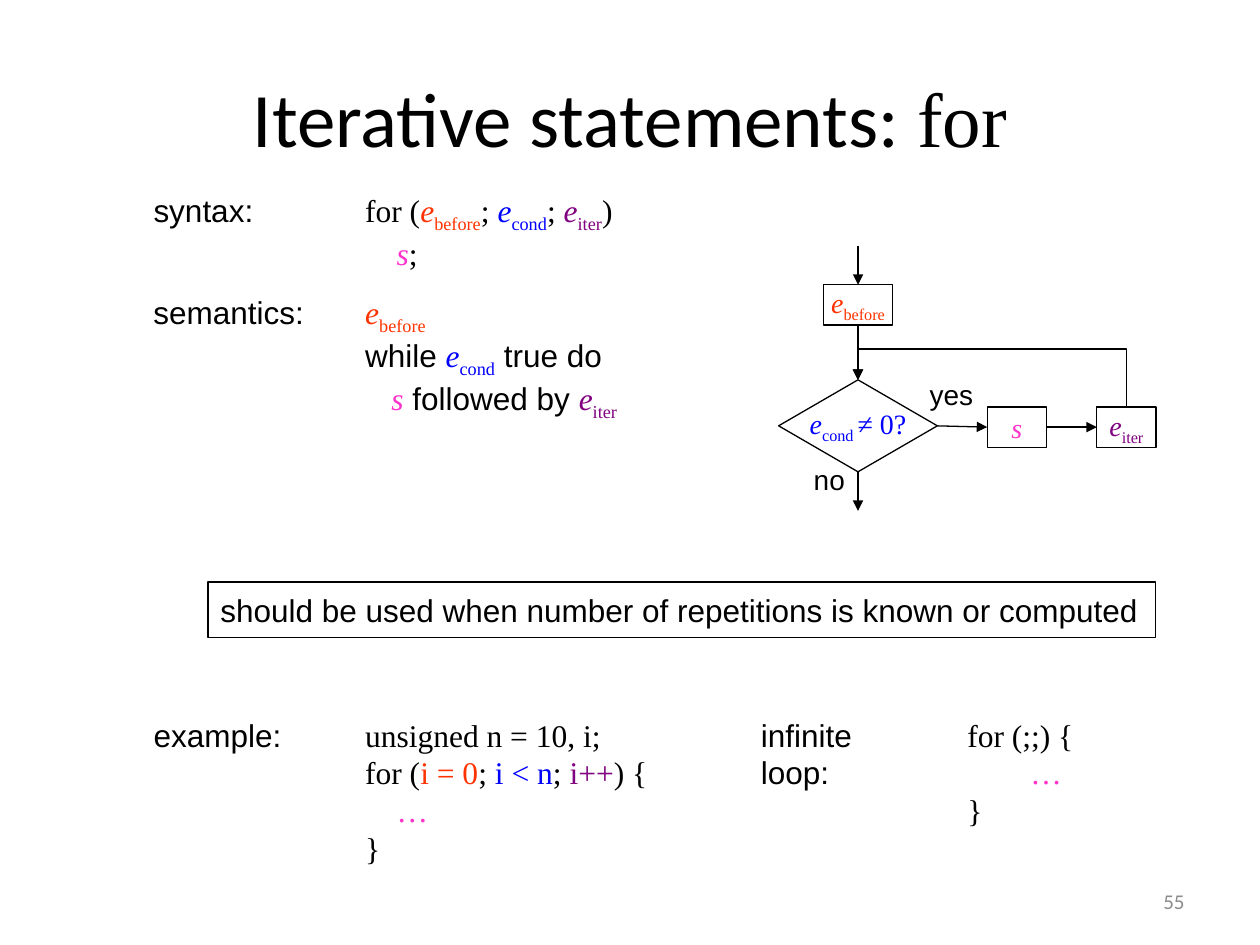
import pptx
import pptx.util
import pptx.dml.color
import pptx.enum.shapes
import pptx.enum.text
import pptx.oxml
import pptx.oxml.ns

Inches, Pt = pptx.util.Inches, pptx.util.Pt
ALIGN = pptx.enum.text.PP_ALIGN
ANCHOR = pptx.enum.text.MSO_ANCHOR
AUTO = pptx.enum.text.MSO_AUTO_SIZE
SHAPE = pptx.enum.shapes.MSO_SHAPE
LINK = pptx.enum.shapes.MSO_CONNECTOR

THEME = {
    "ink": "000000", "paper": "FFFFFF", "muted": "8C8C8C",
    "before": "FF3300", "cond": "0000FF", "iter": "800080", "body": "FF33CC",
    "sans": "Arial", "serif": "Times New Roman", "head": "Calibri",
    "title": 44, "text": 18, "node": 16, "number": 12,
}


# Runs: (text, colour, font, style), style being "", "i" or "sub"
def code(text, color="ink", style=""):
    return (text, color, "serif", style)


def say(text):
    return (text, "ink", "sans", "")


def expr(name):
    return [code("e", name, "i"), code(name, name, "sub")]


STMT = code("s", "body", "i")
DOTS = code("…", "body")

# Content: (left, top, width, height, paragraphs)
LABEL_X, CODE_X = 1.12, 2.8
SYNTAX_Y, SEMANTICS_Y, EXAMPLE_Y = 1.47, 2.28, 5.63
TITLE = [[("Iterative statements: ", "ink", "head", ""), code("for")]]
TEXTS = [
    (LABEL_X, SYNTAX_Y, 0.99, 0.4, [[say("syntax:")]]),
    (CODE_X, SYNTAX_Y, 2.3, 0.7, [
        [code("for ("), *expr("before"), code("; "), *expr("cond"),
         code("; "), *expr("iter"), code(")")],
        [code("    "), STMT, code(";")]]),
    (LABEL_X, SEMANTICS_Y, 1.4, 0.4, [[say("semantics:")]]),
    (CODE_X, SEMANTICS_Y, 3.8, 1, [
        expr("before"),
        [say("while "), *expr("cond"), say(" true do")],
        [say("   "), STMT, say(" followed by "), *expr("iter")]]),
    (LABEL_X, EXAMPLE_Y, 1.22, 0.4, [[say("example:")]]),
    (CODE_X, EXAMPLE_Y, 2.44, 1.3, [
        [code("unsigned n = 10, i;")],
        [code("for ("), code("i = 0", "before"), code("; "),
         code("i < n", "cond"), code("; "), code("i++", "iter"), code(") {")],
        [code("    "), DOTS],
        [code("}")]]),
    (5.94, EXAMPLE_Y, 1.53, 0.4, [[say("infinite loop:")]]),
    (7.58, EXAMPLE_Y, 1.04, 1.3, [
        [code("for (;;) {")], [code("        "), DOTS], [code("}")]]),
]
ADVICE = "should be used when number of repetitions is known or computed"

# Flowchart: name -> (centre x, centre y, width, height, shape, runs)
FLOW_X, ROW_Y = 6.81, 3.39
BOX = SHAPE.FLOWCHART_PROCESS
NODES = {
    "before": (FLOW_X, 2.42, 0.55, 0.32, BOX, expr("before")),
    "cond": (FLOW_X, 3.38, 1.26, 0.73, SHAPE.FLOWCHART_DECISION,
             [code("e", "cond", "i"), code("cond ", "cond", "sub"),
              code("≠ 0?", "cond")]),
    "body": (8.07, ROW_Y, 0.47, 0.32, BOX, [STMT]),
    "iter": (8.94, ROW_Y, 0.47, 0.32, BOX, expr("iter")),
}
BRANCHES = [(6.36, 3.62, 0.45, 0.37, [[say("no")]]),
            (7.28, 2.95, 0.55, 0.37, [[say("yes")]])]
TOP, LEFT, BOTTOM, RIGHT = range(4)
LINKS = [("before", BOTTOM, "cond", TOP), ("cond", RIGHT, "body", LEFT),
         ("body", RIGHT, "iter", LEFT)]
LOOP_Y = 2.77
STUB = 0.31


def rgb(name):
    return pptx.dml.color.RGBColor.from_string(THEME[name])


def write(tf, paragraphs, size, align=None):
    for n, runs in enumerate(paragraphs):
        p = tf.paragraphs[0] if n == 0 else tf.add_paragraph()
        p.alignment = align
        for text, color, font, style in runs:
            r = p.add_run()
            r.text = text
            r.font.size = Pt(THEME[size])
            r.font.name = THEME[font]
            r.font.color.rgb = rgb(color)
            if style == "i":
                r.font.italic = True
            elif style == "sub":
                r._r.get_or_add_rPr().set("baseline", "-25000")


def add_text(s, box, size):
    *place, paragraphs = box
    tf = s.shapes.add_textbox(*map(Inches, place)).text_frame
    tf.word_wrap = False
    tf.auto_size = AUTO.SHAPE_TO_FIT_TEXT
    write(tf, paragraphs, size)


def add_box(s, kind, place, width, fill=None):
    sp = s.shapes.add_shape(kind, *map(Inches, place))
    sp.shadow.inherit = False
    if fill:
        sp.fill.solid()
        sp.fill.fore_color.rgb = rgb(fill)
    else:
        sp.fill.background()
    sp.line.color.rgb = rgb("ink")
    sp.line.width = Pt(width)
    sp.text_frame.word_wrap = False
    sp.text_frame.vertical_anchor = ANCHOR.MIDDLE
    return sp


def add_arrow(s, kind=LINK.STRAIGHT, ends=(0, 0, 0, 0)):
    c = s.shapes.add_connector(kind, *map(Inches, ends))
    c.line.color.rgb = rgb("ink")
    c.line.width = Pt(0.75)
    ln = c.line._get_or_add_ln()
    tail = pptx.oxml.parse_xml(
        '<a:tailEnd %s type="triangle"/>' % pptx.oxml.ns.nsdecls("a"))
    ln.append(tail)
    ln.addnext(pptx.oxml.parse_xml(
        "<a:effectLst %s/>" % pptx.oxml.ns.nsdecls("a")))
    return c


def add_loop(s, start, end):
    """Elbow from the top of start, over LOOP_Y, down to the top of end."""
    c = add_arrow(s, LINK.ELBOW)
    c.begin_connect(start, TOP)
    c.end_connect(end, TOP)
    x1, x2 = (sp.left + sp.width // 2 for sp in (start, end))
    rise, run = start.top - end.top, x1 - x2
    # The elbow is turned a quarter, so its width is the vertical rise
    c.left = (x1 + x2 - rise) // 2
    c.top = (start.top + end.top - run) // 2
    c.width, c.height = rise, run
    xfrm = c._element.spPr.find(pptx.oxml.ns.qn("a:xfrm"))
    for key, value in (("rot", "5400000"), ("flipH", "1"), ("flipV", "0")):
        xfrm.set(key, value)
    bend = round((start.top - Inches(LOOP_Y)) / rise * 100000)
    geom = c._element.spPr.find(pptx.oxml.ns.qn("a:prstGeom"))
    geom.get_or_add_avLst().append(pptx.oxml.parse_xml(
        '<a:gd %s name="adj1" fmla="val %d"/>'
        % (pptx.oxml.ns.nsdecls("a"), bend)))


def main():
    prs = pptx.Presentation()
    prs.slide_width, prs.slide_height = Inches(10), Inches(7.5)
    s = prs.slides.add_slide(prs.slide_layouts[5])

    # Title
    title = s.shapes.title
    title.left, title.top, title.width, title.height = map(
        Inches, (0.5, 0.3, 9, 1.25))
    write(title.text_frame, TITLE, "title", ALIGN.CENTER)

    # Syntax, semantics and examples
    for box in TEXTS:
        add_text(s, box, "text")

    # Advice
    advice = add_box(s, SHAPE.RECTANGLE, (1.65, 4.62, 7.52, 0.44), 1)
    write(advice.text_frame, [[say(ADVICE)]], "text", ALIGN.LEFT)

    # Flowchart
    nodes = {}
    for name, (x, y, w, h, kind, runs) in NODES.items():
        sp = add_box(s, kind, (x - w / 2, y - h / 2, w, h), 0.75, "paper")
        write(sp.text_frame, [runs], "node", ALIGN.CENTER)
        nodes[name] = sp
    for box in BRANCHES:
        add_text(s, box, "node")
    for start, out, end, into in LINKS:
        c = add_arrow(s)
        c.begin_connect(nodes[start], out)
        c.end_connect(nodes[end], into)
    add_loop(s, nodes["iter"], nodes["cond"])
    entry = nodes["before"].top.inches
    add_arrow(s, ends=(FLOW_X, entry - STUB, FLOW_X, entry)).end_connect(
        nodes["before"], TOP)
    leave = (nodes["cond"].top + nodes["cond"].height) / Inches(1)
    add_arrow(s, ends=(FLOW_X, leave, FLOW_X, leave + STUB)).begin_connect(
        nodes["cond"], BOTTOM)

    # Slide number
    tf = s.shapes.add_textbox(*map(Inches, (7.17, 6.95, 2.33, 0.4))).text_frame
    tf.word_wrap = True
    tf.vertical_anchor = ANCHOR.MIDDLE
    write(tf, [[("55", "muted", "head", "")]], "number", ALIGN.RIGHT)

    prs.save("out.pptx")


if __name__ == "__main__":
    main()
